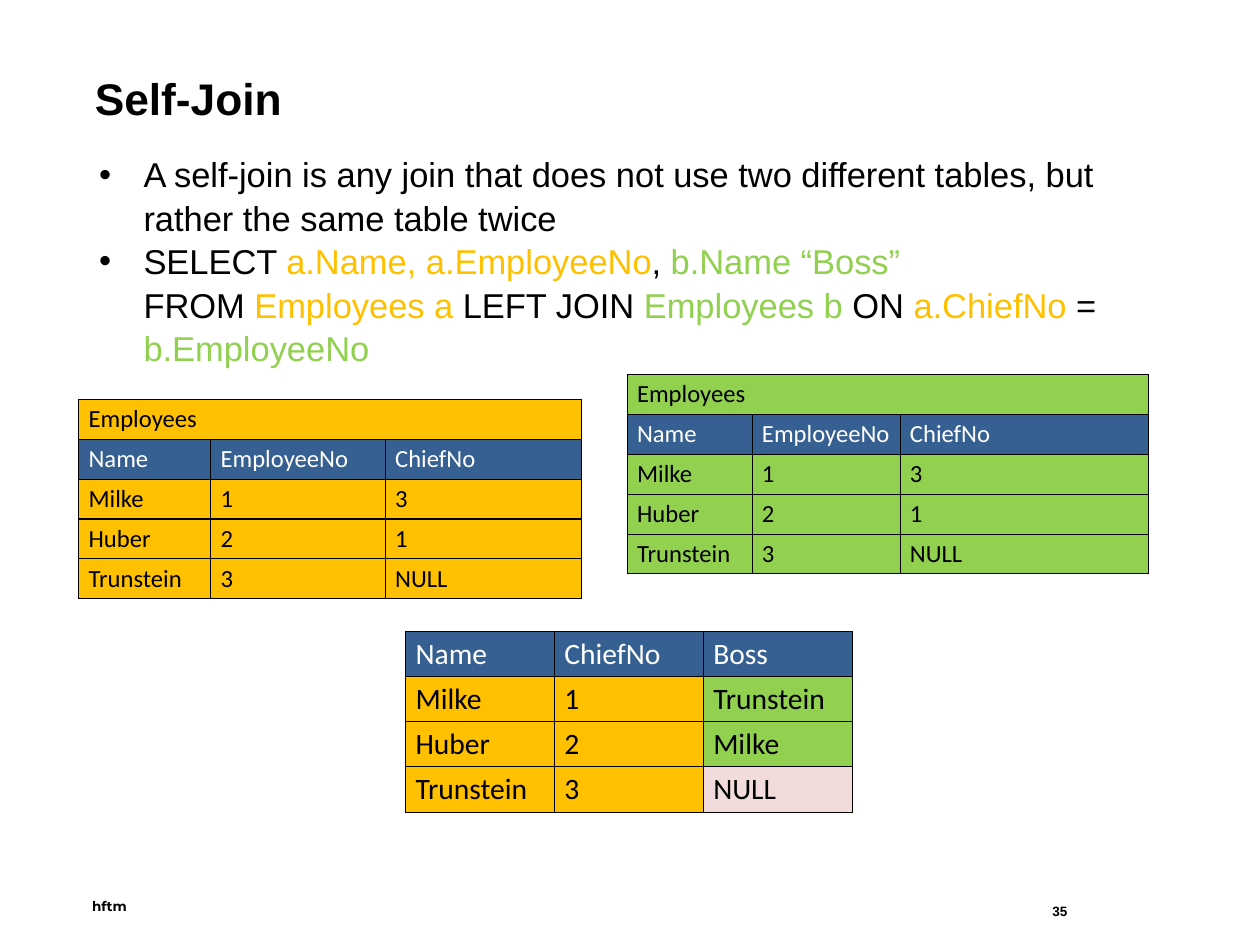
"""Build the Self-Join slide with its three example tables."""
from dataclasses import dataclass

from lxml import etree
from pptx import Presentation
from pptx import util as u
from pptx.dml.color import RGBColor
from pptx.enum import text
from pptx.oxml import ns

BLACK = RGBColor(0x00, 0x00, 0x00)
WHITE = RGBColor(0xFF, 0xFF, 0xFF)
ORANGE = RGBColor(0xFF, 0xC0, 0x00)
GREEN = RGBColor(0x92, 0xD0, 0x50)
BLUE = RGBColor(0x37, 0x60, 0x92)
PINK = RGBColor(0xF2, 0xDC, 0xDB)


@dataclass(frozen=True)
class Run:
    text: str
    color: RGBColor = BLACK


@dataclass(frozen=True)
class Style:
    size: int
    name: str = "Arial"
    bold: bool = False


@dataclass(frozen=True)
class Label:
    text: str
    box: tuple[float, float, float, float]
    style: Style
    inset: float = 0


@dataclass(frozen=True)
class Grid:
    left: float
    top: float
    cols: tuple[float, ...]
    row_height: float
    size: int
    fill: RGBColor
    header: tuple[str, ...]
    rows: tuple[tuple[str, ...], ...]
    title: str = ""
    last_fills: tuple[RGBColor, ...] = ()


EMPLOYEE_HEADER = ("Name", "EmployeeNo", "ChiefNo")
EMPLOYEES = (("Milke", "1", "3"), ("Huber", "2", "1"), ("Trunstein", "3", "NULL"))
BOSSES = (("Milke", "1", "Trunstein"), ("Huber", "2", "Milke"), ("Trunstein", "3", "NULL"))

GRIDS = (
    Grid(0.89, 4.51, (1.49, 1.97, 2.21), 0.45, 20, ORANGE, EMPLOYEE_HEADER, EMPLOYEES, "Employees"),
    Grid(4.58, 7.13, (1.68, 1.68, 1.68), 0.51, 24, ORANGE, ("Name", "ChiefNo", "Boss"), BOSSES,
         last_fills=(GREEN, GREEN, PINK)),
    Grid(7.08, 4.23, (1.41, 1.67, 2.8), 0.45, 20, GREEN, EMPLOYEE_HEADER, EMPLOYEES, "Employees"),
)

LABELS = (
    Label("35", (11.78, 10.14, 1.83, 0.29), Style(11, bold=True), 0.1),
    Label("hftm", (0.94, 10.09, 0.75, 0.29), Style(11, "Montserrat", True), 0.1),
    Label("Self-Join", (1.07, 0.79, 12.08, 0.63), Style(36, bold=True)),
)

BULLETS = (
    ((Run("A self-join is any join that does not use two different tables, "
          "but rather the same table twice"),),),
    (
        (Run("SELECT "), Run("a.Name, a.EmployeeNo", ORANGE), Run(", "), Run("b.Name “Boss”", GREEN)),
        (Run("FROM "), Run("Employees a", ORANGE), Run(" LEFT JOIN "), Run("Employees b", GREEN),
         Run(" ON "), Run("a.ChiefNo", ORANGE), Run(" = "), Run("b.EmployeeNo", GREEN)),
    ),
)


def add_run(p, run: Run, style: Style) -> None:
    r = p.add_run()
    r.text = run.text
    r.font.size = u.Pt(style.size)
    r.font.name = style.name
    r.font.bold = style.bold
    r.font.color.rgb = run.color


def add_box(s, box: tuple[float, float, float, float], inset: float = 0):
    tf = s.shapes.add_textbox(*map(u.Inches, box)).text_frame
    tf.word_wrap = True
    tf.margin_left = tf.margin_right = u.Inches(inset)
    tf.margin_top = tf.margin_bottom = u.Inches(inset / 2)
    return tf


def add_label(s, label: Label) -> None:
    tf = add_box(s, label.box, label.inset)
    tf.vertical_anchor = text.MSO_ANCHOR.MIDDLE
    add_run(tf.paragraphs[0], Run(label.text), label.style)


def add_bullets(s) -> None:
    tf = add_box(s, (1.12, 1.71, 11.66, 2.36))
    for i, lines in enumerate(BULLETS):
        p = tf.add_paragraph() if i else tf.paragraphs[0]
        p.line_spacing = 1.05
        pPr = p._p.get_or_add_pPr()
        pPr.set("marL", str(u.Inches(0.5)))
        pPr.set("indent", str(u.Inches(-0.5)))
        etree.SubElement(pPr, ns.qn("a:buFont"), typeface="Arial")
        etree.SubElement(pPr, ns.qn("a:buChar"), char="•")
        for j, line in enumerate(lines):
            if j:
                p.add_line_break()
            for run in line:
                add_run(p, run, Style(28))


def style_cell(cell, fill: RGBColor) -> None:
    tcPr = cell._tc.get_or_add_tcPr()
    for side in ("lnL", "lnR", "lnT", "lnB"):
        ln = etree.SubElement(tcPr, ns.qn(f"a:{side}"), w=str(u.Pt(1)))
        solid = etree.SubElement(ln, ns.qn("a:solidFill"))
        etree.SubElement(solid, ns.qn("a:srgbClr"), val=str(BLACK))
    cell.fill.solid()
    cell.fill.fore_color.rgb = fill
    cell.margin_left = cell.margin_right = u.Inches(0.11)
    cell.margin_top = cell.margin_bottom = u.Inches(0.05)
    cell.vertical_anchor = text.MSO_ANCHOR.MIDDLE


def add_grid(s, grid: Grid) -> None:
    title_rows = ((grid.title, "", ""),) if grid.title else ()
    rows = (*title_rows, grid.header, *grid.rows)
    header_at = len(title_rows)
    size = (sum(grid.cols), grid.row_height * len(rows))
    table = s.shapes.add_table(len(rows), len(grid.cols),
                               *map(u.Inches, (grid.left, grid.top, *size))).table
    table.first_row = table.horz_banding = False
    for col, width in zip(table.columns, grid.cols):
        col.width = u.Inches(width)
    for i, values in enumerate(rows):
        table.rows[i].height = u.Inches(grid.row_height)
        for j, value in enumerate(values):
            fill = BLUE if i == header_at else grid.fill
            if grid.last_fills and i > header_at and j == len(values) - 1:
                fill = grid.last_fills[i - header_at - 1]
            cell = table.cell(i, j)
            style_cell(cell, fill)
            if value:
                color = WHITE if i == header_at else BLACK
                add_run(cell.text_frame.paragraphs[0], Run(value, color), Style(grid.size, "Calibri"))
    if grid.title:
        table.cell(0, 0).merge(table.cell(0, len(grid.cols) - 1))


def main() -> None:
    prs = Presentation()
    prs.slide_width, prs.slide_height = u.Inches(14.22), u.Inches(10.67)
    s = prs.slides.add_slide(prs.slide_layouts[6])
    for label in LABELS:
        add_label(s, label)
    add_bullets(s)
    for grid in GRIDS:
        add_grid(s, grid)
    prs.save("out.pptx")


if __name__ == "__main__":
    main()
